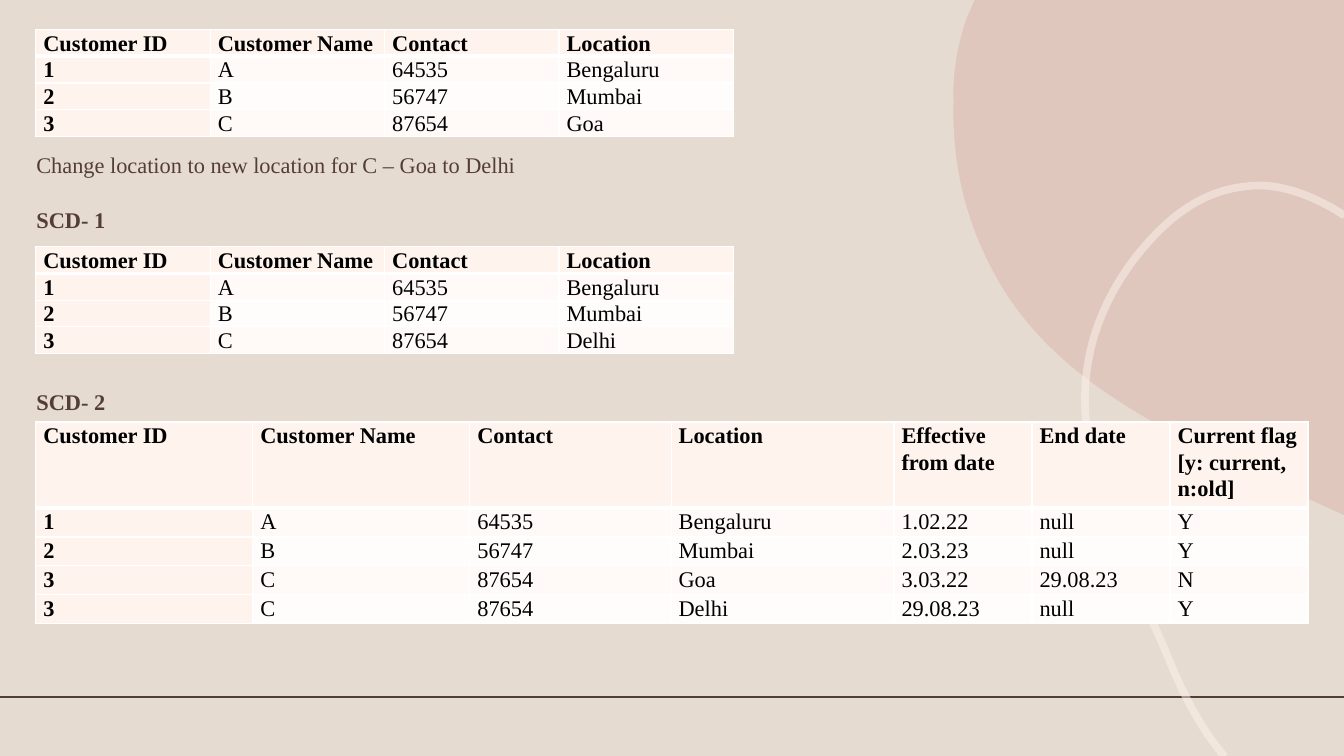
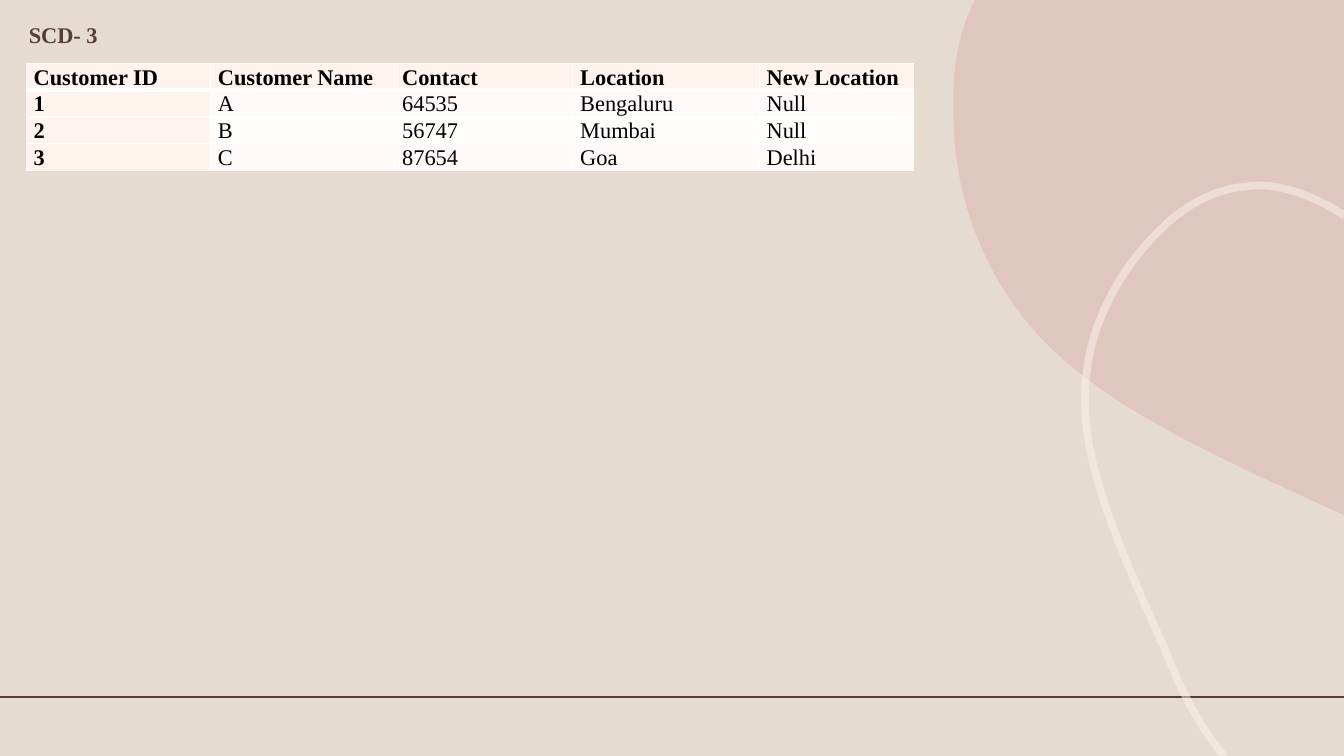
from dataclasses import dataclass

from lxml import etree
from pptx import Presentation
from pptx.dml.color import RGBColor
from pptx.enum import shapes, text
from pptx.oxml import ns
from pptx.util import Pt


@dataclass(frozen=True)
class Theme:
    background: str = "E6DBD0"
    brown: str = "543E34"
    rose: str = "CF9B92"
    cream: str = "FEF3ED"
    odd_row: str = "FFFAF8"
    even_row: str = "FFFDFC"
    border: str = "FFFFFF"
    black: str = "000000"
    font: str = "Times New Roman"
    size: float = 16
    row_height: float = 19.1
    line_spacing: float = 1.07


WIDTH, HEIGHT = 960, 540

# Background outlines: straight points, then Bezier segments of three points
BLOB_START = [(696.2, 0), (960, 0), (960, 368), (941, 359.3)]
BLOB_CURVES = [
    ((818, 303.1), (743, 265.7), (704.2, 183.6)),
    ((682.6, 139), (680.4, 97.2), (681.1, 72.7)),
    ((680.4, 56.9), (682.6, 35.3), (690.5, 13)),
]
LOOP_START = [(874.8, 540.5)]
LOOP_CURVES = [
    ((862.6, 526.3), (847.4, 503.3), (832.3, 464.4)),
    ((787.7, 365), (761.8, 305.3), (781.9, 239)),
    ((792.7, 205.2), (811.4, 182.2), (823.7, 169.2)),
    ((835.9, 156.2), (858.2, 136.1), (889.9, 133.2)),
    ((893.5, 132.5), (897.8, 132.5), (901.4, 132.5)),
    ((920.9, 133.2), (941.8, 141.8), (960.5, 154.1)),
]

# Table contents
HEADER = ["Customer ID", "Customer Name", "Contact", "Location"]
CUSTOMERS = [
    ["1", "A", "64535", "Bengaluru"],
    ["2", "B", "56747", "Mumbai"],
    ["3", "C", "87654", "Goa"],
]
MOVED = CUSTOMERS[2][:3] + ["Delhi"]
HISTORY = [
    ["1.02.22", "null", "Y"],
    ["2.03.23", "null", "Y"],
    ["3.03.22", "29.08.23", "N"],
    ["29.08.23", "null", "Y"],
]


def add_alpha(fill, percent):
    """Make the solid colour of a fill partly transparent."""
    color = fill._xPr.find(".//" + ns.qn("a:srgbClr"))
    etree.SubElement(color, ns.qn("a:alpha"), val=str(percent * 1000))


class Deck:
    def __init__(self, theme):
        self.theme = theme
        self.presentation = Presentation()
        self.presentation.slide_width = Pt(WIDTH)
        self.presentation.slide_height = Pt(HEIGHT)
        self.layout = self.presentation.slide_layouts[6]
        self.slide = None

    def paint(self, fill, color):
        fill.solid()
        fill.fore_color.rgb = RGBColor.from_string(color)

    def add_slide(self):
        self.slide = self.presentation.slides.add_slide(self.layout)

    def add_shared_art(self):
        """Draw the background art and move it to the layout, for every slide."""
        for placeholder in list(self.layout.placeholders):
            self.layout.shapes._spTree.remove(placeholder._element)
        self.paint(self.layout.background.fill, self.theme.background)
        rule = self.add_rule(497.9)
        blob = self.add_outline(BLOB_START, BLOB_CURVES, closed=True)
        self.paint(blob.fill, self.theme.rose)
        add_alpha(blob.fill, 30)
        blob.line.fill.background()
        loop = self.add_outline(LOOP_START, LOOP_CURVES, closed=False)
        loop.fill.background()
        loop.line.width = Pt(5.5)
        self.paint(loop.line.fill, self.theme.cream)
        add_alpha(loop.line.fill, 50)
        for shape in (rule, blob, loop):
            self.layout.shapes._spTree.append(shape._element)

    def add_rule(self, top):
        rule = self.slide.shapes.add_connector(
            shapes.MSO_CONNECTOR.STRAIGHT, 0, Pt(top), Pt(WIDTH), Pt(top))
        rule.line.width = Pt(1.25)
        self.paint(rule.line.fill, self.theme.brown)
        etree.SubElement(rule._element.spPr, ns.qn("a:effectLst"))
        return rule

    def add_outline(self, points, curves, closed):
        """Build a freeform through the anchors, then bend its last segments."""
        anchors = points + [curve[-1] for curve in curves]
        builder = self.slide.shapes.build_freeform(
            Pt(anchors[0][0]), Pt(anchors[0][1]), scale=1.0)
        builder.add_line_segments([(Pt(x), Pt(y)) for x, y in anchors[1:]], close=closed)
        shape = builder.convert_to_shape()
        shape.shadow.inherit = False
        segments = list(shape._element.iter(ns.qn("a:lnTo")))[-len(curves):]
        for segment, curve in zip(segments, curves):
            bend = etree.Element(ns.qn("a:cubicBezTo"))
            for x, y in curve:
                etree.SubElement(bend, ns.qn("a:pt"), x=str(Pt(x) - shape.left),
                                 y=str(Pt(y) - shape.top))
            segment.getparent().replace(segment, bend)
        return shape

    def add_run(self, paragraph, content, color, bold):
        run = paragraph.add_run()
        run.text = content
        run.font.name = self.theme.font
        run.font.size = Pt(self.theme.size)
        run.font.bold = bold
        run.font.color.rgb = RGBColor.from_string(color)

    def add_text(self, left, top, width, height, lines, gap=0):
        """Add lines of (text, bold), with a gap before each line but the first."""
        box = self.slide.shapes.add_textbox(Pt(left), Pt(top), Pt(width), Pt(height))
        frame = box.text_frame
        frame.word_wrap = False
        frame.auto_size = text.MSO_AUTO_SIZE.SHAPE_TO_FIT_TEXT
        frame.vertical_anchor = text.MSO_ANCHOR.MIDDLE
        for index, (content, bold) in enumerate(lines):
            paragraph = frame.add_paragraph() if index else frame.paragraphs[0]
            paragraph.space_before = Pt(gap if index else 0)
            self.add_run(paragraph, content, self.theme.brown, bold)

    def add_label(self, left, top, content):
        self.add_text(left, top, 64, 26.6, [(content, True)])

    def add_borders(self, cell, row):
        """Draw white borders, heavier between the header and the body."""
        widths = {"L": 1, "R": 1, "T": 3 if row == 1 else 1, "B": 3 if row == 0 else 1}
        properties = cell._tc.get_or_add_tcPr()
        for side, width in widths.items():
            line = etree.SubElement(properties, ns.qn("a:ln" + side), w=str(Pt(width)))
            fill = etree.SubElement(line, ns.qn("a:solidFill"))
            etree.SubElement(fill, ns.qn("a:srgbClr"), val=self.theme.border)

    def add_table(self, left, top, widths, rows, header_height=None, row_height=None):
        theme = self.theme
        row_height = row_height or theme.row_height
        heights = [header_height or row_height] + [row_height] * (len(rows) - 1)
        table = self.slide.shapes.add_table(
            len(rows), len(widths), Pt(left), Pt(top),
            Pt(sum(widths)), Pt(sum(heights))).table
        for column, width in zip(table.columns, widths):
            column.width = Pt(width)
        for row, values in enumerate(rows):
            table.rows[row].height = Pt(heights[row])
            for column, value in enumerate(values):
                cell = table.cell(row, column)
                cell.margin_left = cell.margin_right = Pt(5.4)
                cell.margin_top = cell.margin_bottom = 0
                self.add_borders(cell, row)
                heading = row == 0 or column == 0
                body_color = theme.odd_row if row % 2 else theme.even_row
                self.paint(cell.fill, theme.cream if heading else body_color)
                paragraph = cell.text_frame.paragraphs[0]
                paragraph.line_spacing = theme.line_spacing
                self.add_run(paragraph, value, theme.black, heading)


def main():
    deck = Deck(Theme())

    # Starting table, then SCD types 1 and 2
    deck.add_slide()
    deck.add_shared_art()
    left = 25.6
    four_columns = [124.6] * 4
    deck.add_table(left, 21.1, four_columns, [HEADER] + CUSTOMERS)
    deck.add_table(left, 176.2, four_columns, [HEADER] + CUSTOMERS[:2] + [MOVED])
    deck.add_text(18.9, 104.4, 366, 65.5, [
        ("Change location to new location for C – Goa to Delhi", False),
        ("SCD- 1", True),
    ], gap=19.5)
    history_header = HEADER + ["Effective from date", "End date",
                               "Current flag [y: current, n:old]"]
    history_rows = [customer + dates
                    for customer, dates in zip(CUSTOMERS + [MOVED], HISTORY)]
    deck.add_table(left, 301.4, [155, 155, 143.8, 159.2] + [98.6] * 3,
                   [history_header] + history_rows, header_height=61, row_height=20.6)
    deck.add_label(18.9, 273.8, "SCD- 2")

    # SCD type 3
    deck.add_slide()
    new_locations = ["Null", "Null", "Delhi"]
    deck.add_table(18.7, 45.4, [131.6, 131.6, 127.2, 133.2, 110.4],
                   [HEADER + ["New Location"]]
                   + [customer + [place]
                      for customer, place in zip(CUSTOMERS, new_locations)])
    deck.add_label(13.5, 11.7, "SCD- 3")

    deck.presentation.save("out.pptx")


if __name__ == "__main__":
    main()
